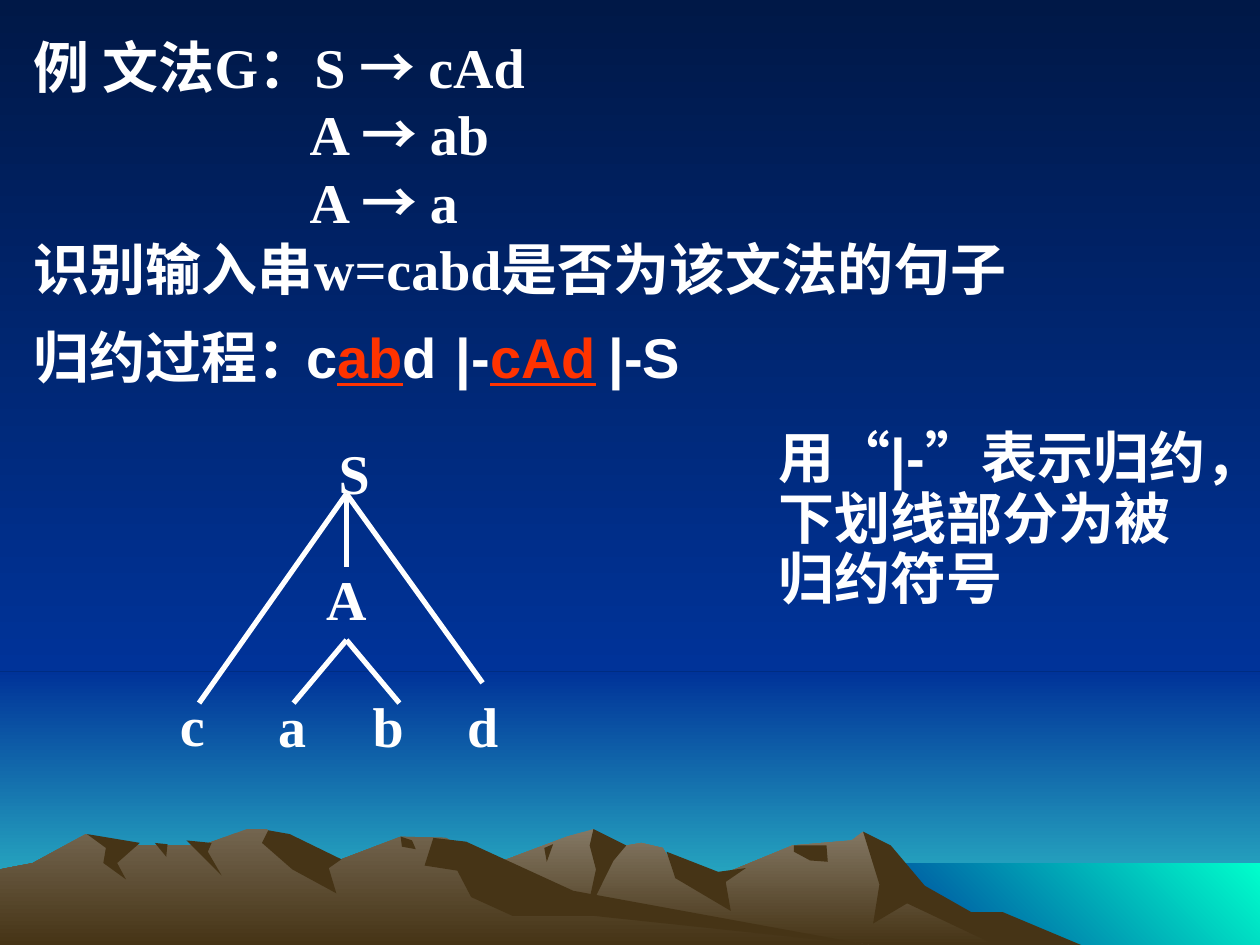
from dataclasses import dataclass

from lxml import etree
from pptx import Presentation
from pptx import util as u
from pptx.dml.color import RGBColor
from pptx.enum import shapes, text
from pptx.oxml.ns import qn

PX = 9144  # 100 px to the inch
WIDTH, HEIGHT = 1000, 750


@dataclass(frozen=True)
class Theme:
    white: str = "FFFFFF"
    red: str = "FF3300"
    shade: str = "463416"
    sky: tuple = ("001847", "003399", 90)
    haze: tuple = ("003399", "33CCCC", 90)
    sea: tuple = ("003399", "00FFCC", 315)
    far_ridge: tuple = ("847864", "463416", 90)
    near_ridge: tuple = ("73654F", "463416", 90)
    serif: str = "Times New Roman"
    sans: str = "Arial"
    chinese: str = "Noto Sans CJK SC"
    size: int = 32
    line: float = 38.4
    tight_line: float = 34.5


THEME = Theme()
HORIZON, SHORE, SEA_LEVEL = 533, 683, 685

# fill, left, top, right, bottom
BANDS = [
    (THEME.haze, 0, HORIZON, WIDTH, HEIGHT),
    (THEME.sky, 0, 0, WIDTH, HORIZON),
    (THEME.sea, SHORE, SEA_LEVEL, WIDTH, HEIGHT),
]

# fill, outline points
MOUNTAINS = [
    (THEME.far_ridge, [
        (820, HEIGHT), (764, 723), (723, 698), (685, 660), (676, 667), (629, 671),
        (566, 697), (536, 690), (526, 673), (509, 669), (486, 673), (471, 658),
        (450, 664), (405, 681), (327, 709), (258, HEIGHT)]),
    (THEME.shade, [
        (796, 724), (771, 724), (734, 703), (707, 671), (685, 660), (698, 702),
        (693, 733), (720, 717), (790, HEIGHT), (858, HEIGHT)]),
    (THEME.shade, [(471, 658), (468, 671), (473, 690), (465, 727), (487, 683), (497, 671)]),
    (THEME.shade, [(529, 676), (536, 697), (580, 723), (576, 700), (592, 689), (570, 692)]),
    (THEME.shade, [(630, 671), (630, 676), (643, 683), (657, 684), (656, 671)]),
    (THEME.shade, [(432, 673), (439, 670), (434, 684)]),
    (THEME.near_ridge, [
        (690, HEIGHT), (432, 712), (354, 665), (318, 664), (271, 682), (236, 681),
        (212, 658), (196, 658), (160, 671), (94, 671), (68, 662), (26, 685),
        (0, 690), (0, HEIGHT)]),
    (THEME.shade, [
        (213, 659), (208, 669), (232, 690), (267, 709), (261, 689), (271, 682), (230, 662)]),
    (THEME.shade, [
        (370, 668), (344, 665), (337, 687), (363, 691), (374, 712), (407, 727),
        (472, 727), (690, HEIGHT), (455, 707)]),
    (THEME.shade, [(318, 664), (327, 667), (330, 674), (319, 672)]),
    (THEME.shade, [(148, 667), (168, 669), (165, 676), (176, 695)]),
    (THEME.shade, [(123, 669), (133, 670), (132, 680)]),
    (THEME.shade, [
        (111, 669), (93, 685), (100, 698), (82, 685), (84, 673), (69, 662)]),
]

SERIF = (THEME.serif, THEME.white)
ARROW = (THEME.chinese, THEME.white)
SANS = (THEME.sans, THEME.white)
REDUCED = (THEME.sans, THEME.red)  # reduced symbols are underlined


def rule(left_side, right_side):
    return [(f"{left_side} ", SERIF), ("→ ", ARROW), (right_side, SERIF)]


# paragraphs of (indent, runs)
GRAMMAR = [
    (0, rule("例 文法G：S", "cAd")),
    (219, rule("A", "ab")),
    (219, rule("A", "a")),
    (0, [("识别输入串w=cabd是否为该文法的句子", SERIF)]),
]
PROCESS = [(0, [("归约过程：", SERIF)])]
REMARK = [(0, [("用“", SERIF), ("|-", SANS), ("”表示归约，下划线部分为被归约符号", SERIF)])]

# left, width, runs
REDUCTION_STEPS = [
    (233, 124, [("c", SANS), ("ab", REDUCED), ("d", SANS)]),
    (352, 131, [("|-", SANS), ("cAd", REDUCED)]),
    (473, 77, [("|-S", SANS)]),
]
TREE_NODES = [("c", 133, 542), ("a", 211, 543), ("b", 286, 543), ("d", 361, 543),
              ("A", 249, 442), ("S", 259, 342)]
TREE_EDGES = [  # parent, children
    ((275, 508), [(233, 558), (317, 558)]),
    ((275, 392), [(158, 558), (275, 450), (383, 542)]),
]


def px(*lengths):
    return [u.Emu(length * PX) for length in lengths]


def paint(fill, color):
    """Fill with one colour, or with a (start, end, clockwise angle) gradient."""
    if isinstance(color, str):
        fill.solid()
        fill.fore_color.rgb = RGBColor.from_string(color)
        return
    *ends, angle = color
    fill.gradient()
    fill.gradient_angle = 360 - angle
    for stop, end in zip(fill.gradient_stops, ends):
        stop.color.rgb = RGBColor.from_string(end)


def finish(shape, color):
    shape.shadow.inherit = False
    shape.line.fill.background()
    paint(shape.fill, color)


def add_text(slide, box, paragraphs, line=THEME.line, top_inset=6, align=None, wrap=True):
    frame = slide.shapes.add_textbox(*px(*box)).text_frame
    frame.word_wrap = wrap
    frame.auto_size = text.MSO_AUTO_SIZE.NONE
    frame.margin_top = u.Emu(top_inset * PX)
    for number, (indent, runs) in enumerate(paragraphs):
        paragraph = frame.add_paragraph() if number else frame.paragraphs[0]
        paragraph.line_spacing = u.Pt(line)
        paragraph.alignment = align
        if indent:
            paragraph._p.get_or_add_pPr().set("marL", str(indent * PX))
        for words, (font_name, color) in runs:
            run = paragraph.add_run()
            run.text = words
            font = run.font
            font.name, font.size, font.bold = font_name, u.Pt(THEME.size), True
            font.color.rgb = RGBColor.from_string(color)
            if color == THEME.red:
                font.underline = True
            east_asian = etree.SubElement(run._r.get_or_add_rPr(), qn("a:ea"))
            east_asian.set("typeface", THEME.chinese)


def add_edge(slide, start, end):
    edge = slide.shapes.add_connector(shapes.MSO_CONNECTOR.STRAIGHT, *px(*start, *end))
    edge.line.color.rgb = RGBColor.from_string(THEME.white)
    edge.line.width = u.Pt(3)
    etree.SubElement(edge._element.spPr, qn("a:effectLst"))


def main():
    presentation = Presentation()
    presentation.slide_width, presentation.slide_height = px(WIDTH, HEIGHT)
    slide = presentation.slides.add_slide(presentation.slide_layouts[6])
    paint(slide.background.fill, THEME.sky)

    for color, left, top, right, bottom in BANDS:
        box = px(left, top, right - left, bottom - top)
        finish(slide.shapes.add_shape(shapes.MSO_SHAPE.RECTANGLE, *box), color)
    for color, points in MOUNTAINS:
        builder = slide.shapes.build_freeform(*points[0], scale=PX)
        builder.add_line_segments(points[1:], close=True)
        finish(builder.convert_to_shape(), color)

    add_text(slide, (17, 17, 900, 233), GRAMMAR, top_inset=9)
    add_text(slide, (17, 253, 217, 58), PROCESS, THEME.tight_line, top_inset=8)
    add_text(slide, (608, 333, 359, 154), REMARK, THEME.tight_line, top_inset=8)
    for left, width, runs in REDUCTION_STEPS:
        add_text(slide, (left, 250, width, 64), [(0, runs)],
                 align=text.PP_ALIGN.CENTER, wrap=False)
    for symbol, left, top in TREE_NODES:
        add_text(slide, (left, top, 56, 55), [(0, [(symbol, SERIF)])])
    for parent, children in TREE_EDGES:
        for child in children:
            add_edge(slide, parent, child)

    presentation.save("out.pptx")


if __name__ == "__main__":
    main()
